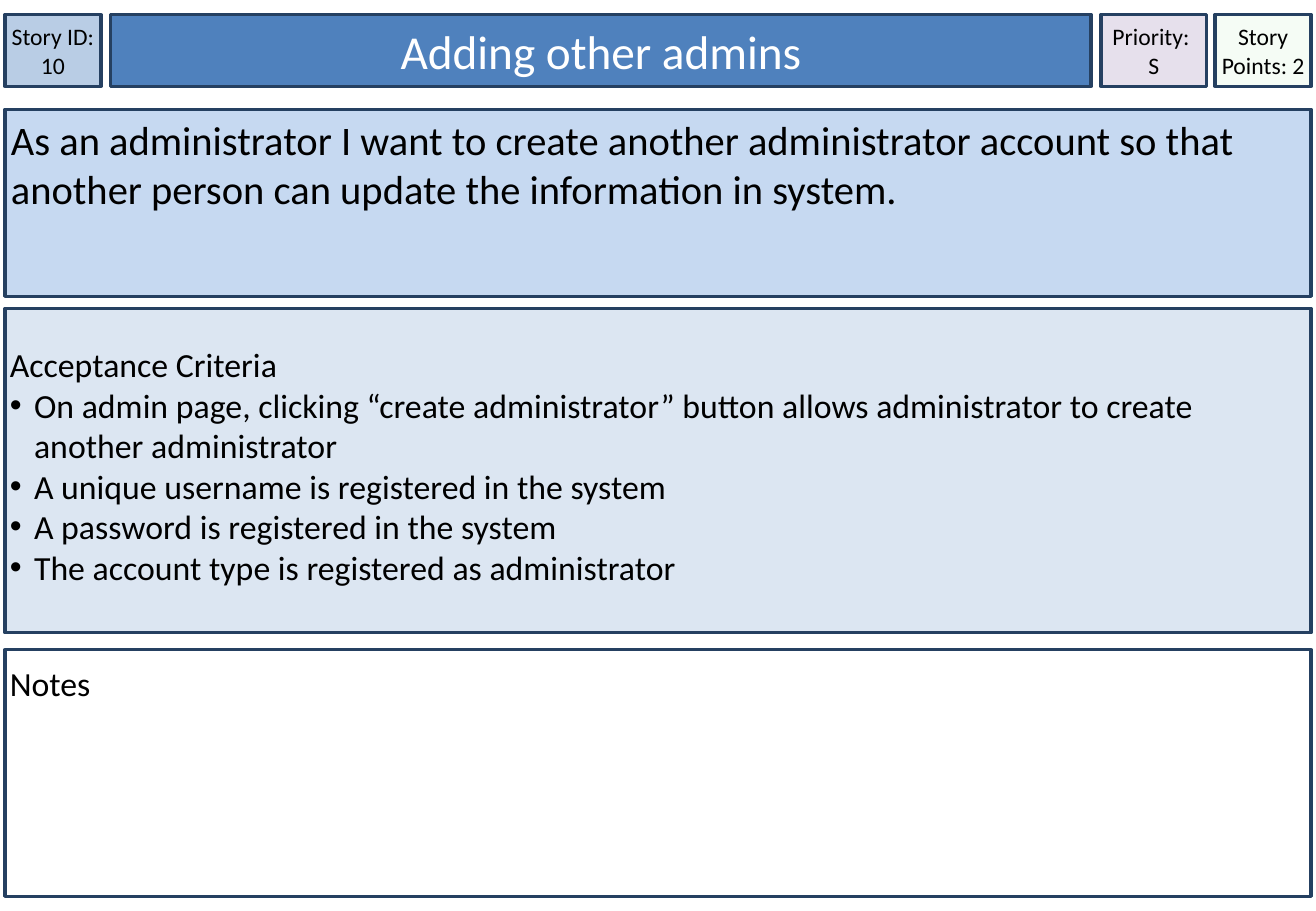
from pptx import Presentation
from pptx.dml.color import RGBColor
from pptx.enum.shapes import MSO_SHAPE as Shape
from pptx.enum.text import MSO_ANCHOR as Anchor, MSO_AUTO_SIZE as Fit, PP_ALIGN as Align
from pptx.oxml.ns import qn
from pptx.util import Inches, Pt
from lxml import etree

NAVY = RGBColor(0x25, 0x40, 0x61)
BLUE = RGBColor(0x4F, 0x81, 0xBD)
STEEL = RGBColor(0xB9, 0xCD, 0xE5)
SKY = RGBColor(0xC6, 0xD9, 0xF1)
PALE = RGBColor(0xDC, 0xE6, 0xF2)
LILAC = RGBColor(0xE6, 0xE0, 0xEC)
MINT = RGBColor(0xF5, 0xFC, 0xF5)
WHITE = RGBColor(0xFF, 0xFF, 0xFF)
BLACK = RGBColor(0, 0, 0)

LEFT, WIDTH = 0.04, 10.75
TOP, HEIGHT = 0.12, 0.59


def style(box, text, fill, size, color, align, anchor, pad, head):
    """Fill and outline a box and set its text; pad and head are insets in inches."""
    box.fill.solid()
    box.fill.fore_color.rgb = fill
    box.line.color.rgb = NAVY
    box.line.width = Pt(2)
    frame = box.text_frame
    frame.text = text
    frame.word_wrap = True
    frame.auto_size = Fit.NONE
    frame.vertical_anchor = anchor
    frame.margin_left = frame.margin_right = frame.margin_bottom = Inches(pad)
    frame.margin_top = Inches(head)
    for para in frame.paragraphs:
        para.alignment = align
        for run in para.runs:
            run.font.name = "Calibri"
            run.font.size = Pt(size)
            run.font.color.rgb = color


def add_bullet(para):
    props = para._p.get_or_add_pPr()
    props.set("marL", str(Inches(0.2)))
    props.set("indent", str(Inches(-0.2)))
    font = etree.SubElement(props, qn("a:buFont"))
    font.set("typeface", "Arial")
    mark = etree.SubElement(props, qn("a:buChar"))
    mark.set("char", "•")


prs = Presentation()
prs.slide_width, prs.slide_height = Inches(10.83), Inches(7.5)
slide = prs.slides.add_slide(prs.slide_layouts[5])

title = slide.shapes.title
title.left, title.top = Inches(0.91), Inches(TOP)
title.width, title.height = Inches(8.07), Inches(HEIGHT)
style(title, "Adding other admins", BLUE, 28, WHITE, Align.CENTER, Anchor.MIDDLE, 0.05, 0.05)

story = ("As an administrator I want to create another administrator account "
         "so that another person can update the information in system.")
criteria = [
    "Acceptance Criteria",
    "On admin page, clicking “create administrator” button allows "
    "administrator to create another administrator",
    "A unique username is registered in the system",
    "A password is registered in the system",
    "The account type is registered as administrator",
]

# Small labels: left, width, fill, text
labels = [
    (LEFT, 0.79, STEEL, "Story ID: 10"),
    (9.06, 0.87, LILAC, "Priority: \nS"),
    (10, 0.79, MINT, "Story Points: 2"),
]
for left, width, fill, text in labels:
    box = slide.shapes.add_shape(Shape.RECTANGLE, Inches(left), Inches(TOP),
                                 Inches(width), Inches(HEIGHT))
    box.shadow.inherit = False
    style(box, text, fill, 14, BLACK, Align.CENTER, Anchor.MIDDLE, 0, 0)

# Full-width panels: top, height, fill, text, size, side inset, top inset
panels = [
    (0.9, 1.54, SKY, story, 24, 0.05, 0.05),
    (2.54, 2.67, PALE, "\n".join(criteria), 20, 0.04, 0.29),
    (5.35, 2.03, WHITE, "Notes", 20, 0.04, 0.11),
]
for top, height, fill, text, size, pad, head in panels:
    box = slide.shapes.add_shape(Shape.RECTANGLE, Inches(LEFT), Inches(top),
                                 Inches(WIDTH), Inches(height))
    box.shadow.inherit = False
    style(box, text, fill, size, BLACK, Align.LEFT, Anchor.TOP, pad, head)
    for para in box.text_frame.paragraphs[1:]:
        add_bullet(para)

prs.save("out.pptx")
